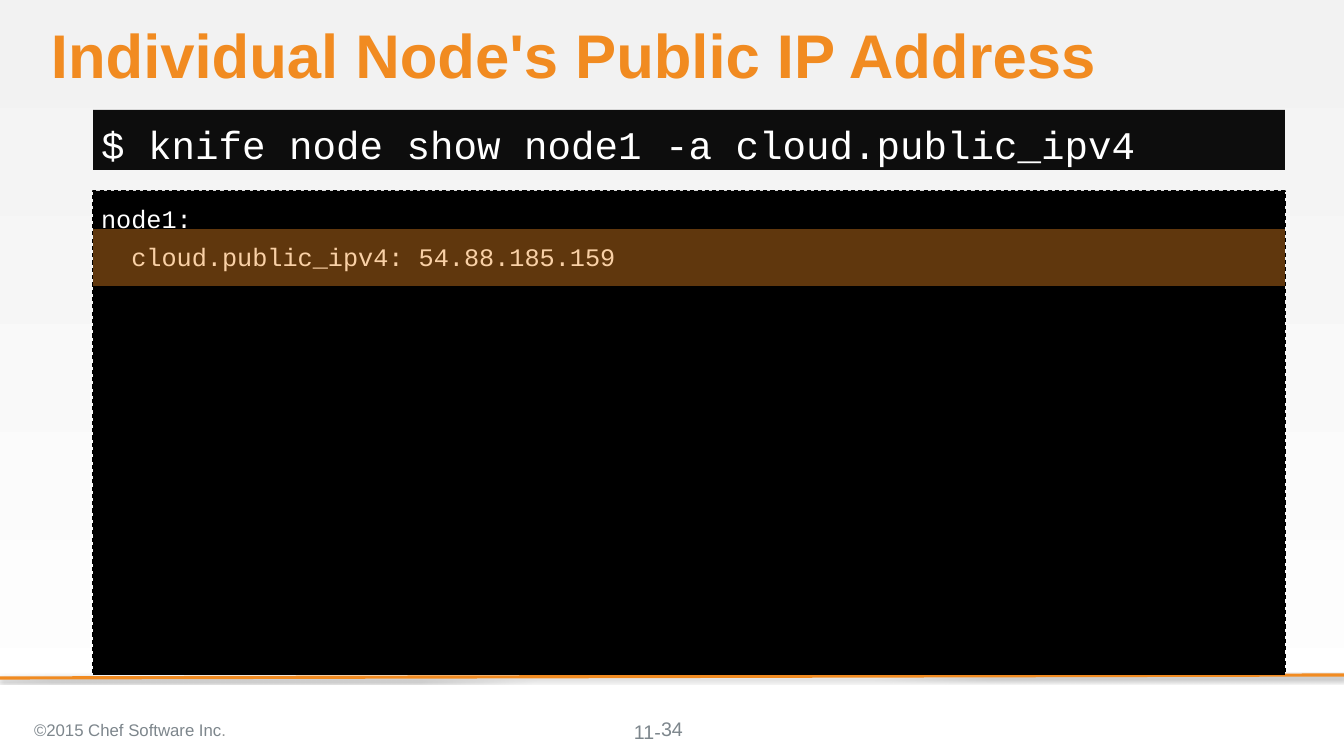
from lxml import etree
from pptx import Presentation
from pptx.dml.color import RGBColor
from pptx.enum.dml import MSO_LINE
from pptx.enum.shapes import MSO_CONNECTOR, MSO_SHAPE
from pptx.enum.text import MSO_ANCHOR, PP_ALIGN
from pptx.oxml import parse_xml
from pptx.oxml.ns import nsdecls, qn
from pptx.util import Pt

PX = 914400 / 75.6
RECT, STRAIGHT, DASH = MSO_SHAPE.RECTANGLE, MSO_CONNECTOR.STRAIGHT, MSO_LINE.DASH
TOP, MIDDLE = MSO_ANCHOR.TOP, MSO_ANCHOR.MIDDLE
LEFT, CENTER = PP_ALIGN.LEFT, PP_ALIGN.CENTER
SANS, MONO = "Arial", "Courier New"
COLORS = {
    "orange": "F18B21", "black": "000000", "command": "0D0D0D", "white": "FFFFFF",
    "pale": "F2F2F2", "footer": "7D868C", "period": "929494",
}


def px(n):
    return round(n * PX)


def rgb(name):
    return RGBColor.from_string(COLORS[name])


def write(shape, paragraphs, size, color, font=SANS, bold=False, align=LEFT,
          anchor=TOP, insets=(8, 4, 8, 4), before=0, spacing=None):
    tf = shape.text_frame
    tf.word_wrap = True
    tf.vertical_anchor = anchor
    tf.margin_left, tf.margin_top, tf.margin_right, tf.margin_bottom = map(px, insets)
    for i, runs in enumerate(paragraphs):
        p = tf.add_paragraph() if i else tf.paragraphs[0]
        p.alignment = align
        if i:
            p.space_before = Pt(before)
        if spacing:
            p.line_spacing = spacing
        for text, run_color in runs:
            r = p.add_run()
            r.text = text
            r.font.name, r.font.size, r.font.bold = font, Pt(size), bold
            r.font.color.rgb = rgb(run_color or color)


class Deck:
    def __init__(self, width, height):
        self.prs = Presentation()
        self.prs.slide_width, self.prs.slide_height = px(width), px(height)
        self.s = self.prs.slides.add_slide(self.prs.slide_layouts[6])

    def background(self, top, bottom):
        fill = self.s.background.fill
        fill.gradient()
        fill.gradient_angle = 270
        for stop, name, position in zip(fill.gradient_stops, (top, bottom), (0, 1)):
            stop.color.rgb = rgb(name)
            stop.position = position

    def text(self, box, *paragraphs, **style):
        write(self.s.shapes.add_textbox(*map(px, box)), paragraphs, **style)

    def panel(self, box, fill, *paragraphs, opacity=100, dashed=None, **style):
        sp = self.s.shapes.add_shape(RECT, *map(px, box))
        sp.shadow.inherit = False
        sp.fill.solid()
        sp.fill.fore_color.rgb = rgb(fill)
        if opacity < 100:
            color = sp.fill._xPr.find(".//" + qn("a:srgbClr"))
            etree.SubElement(color, qn("a:alpha")).set("val", str(opacity * 1000))
        if dashed:
            sp.line.color.rgb = rgb(dashed)
            sp.line.width = Pt(1)
            sp.line.dash_style = DASH
        else:
            sp.line.fill.background()
        if paragraphs:
            write(sp, paragraphs, **style)

    def rule(self, start, end, color, width):
        line = self.s.shapes.add_connector(STRAIGHT, *map(px, start + end))
        line.line.color.rgb = rgb(color)
        line.line.width = Pt(width)
        line._element.spPr.append(parse_xml(
            f'<a:effectLst {nsdecls("a")}><a:outerShdw blurRad="{Pt(3.1)}" '
            f'dist="{Pt(1.8)}" dir="5400000" rotWithShape="0">'
            f'<a:srgbClr val="{COLORS["black"]}"><a:alpha val="35000"/></a:srgbClr>'
            '</a:outerShdw></a:effectLst>'))


def main():
    left, width = 93, 1192
    deck = Deck(1344, 756)
    deck.background("pale", "white")
    deck.rule((1344, 675), (0, 678), "orange", 3)
    deck.panel((left, 191, width, 484), "black",
               [("node1:", None)], [("  cloud.public_ipv4: 54.88.185.159", None)],
               dashed="black", size=24, color="white", font=MONO, before=8,
               insets=(8, 12, 8, 4))
    deck.text((51, 25, 1235, 69), [("Individual Node's Public IP Address", None)],
              size=58.7, color="orange", bold=True, insets=(0, 0, 0, 0), spacing=0.9)
    deck.panel((left, 110, width, 60), "command",
               [("$ knife node show node1 -a cloud.public_ipv4", None)],
               size=37.3, color="white", font=MONO, anchor=MIDDLE, insets=(8, 8, 0, 0))
    deck.panel((left, 229, width, 57), "orange", opacity=40)
    deck.text((26, 709, 470, 42), [("©2015 Chef Software Inc", None), (".", "period")],
              size=16, color="footer", anchor=MIDDLE)
    number = dict(size=18.7, color="footer")
    deck.text((631, 717, 60, 24), [("11-", None)], insets=(3, 3, 0, 0), **number)
    deck.text((521, 709, 302, 40), [("34", None)], align=CENTER, anchor=MIDDLE, **number)
    deck.prs.save("out.pptx")


if __name__ == "__main__":
    main()
